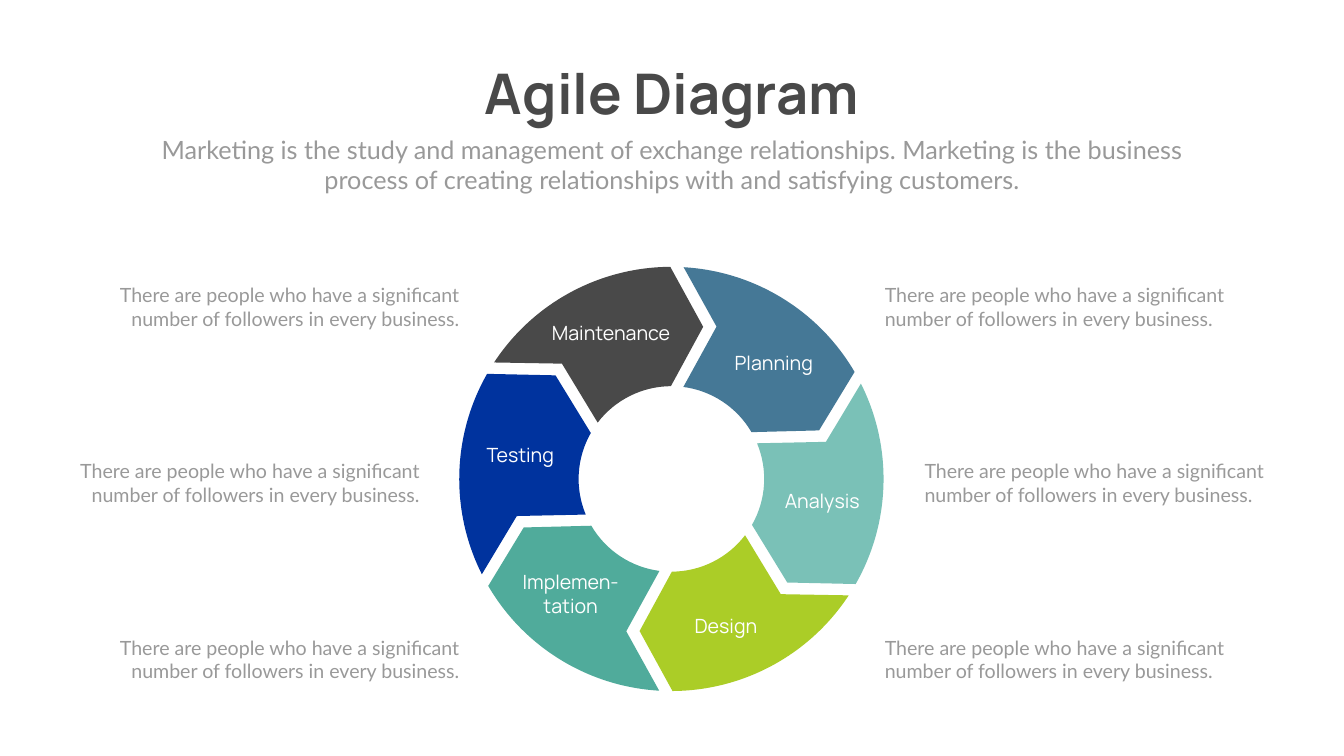
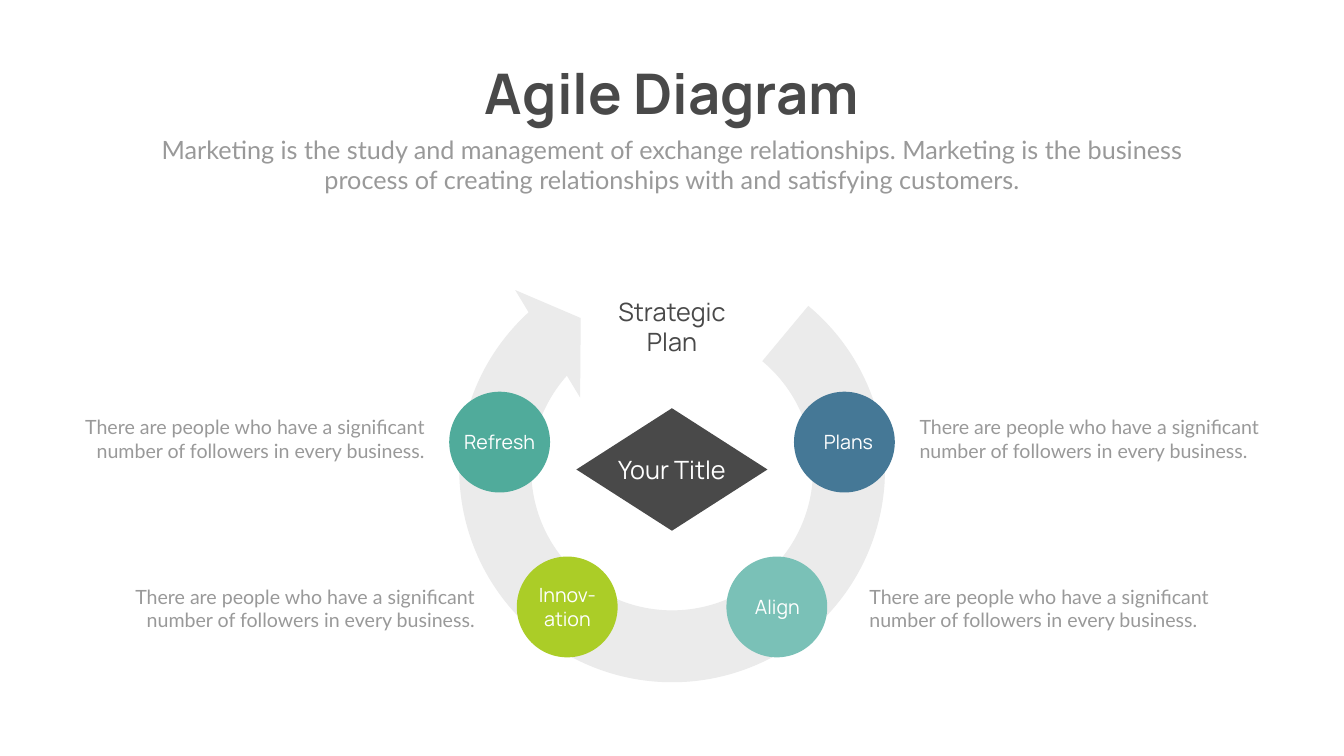
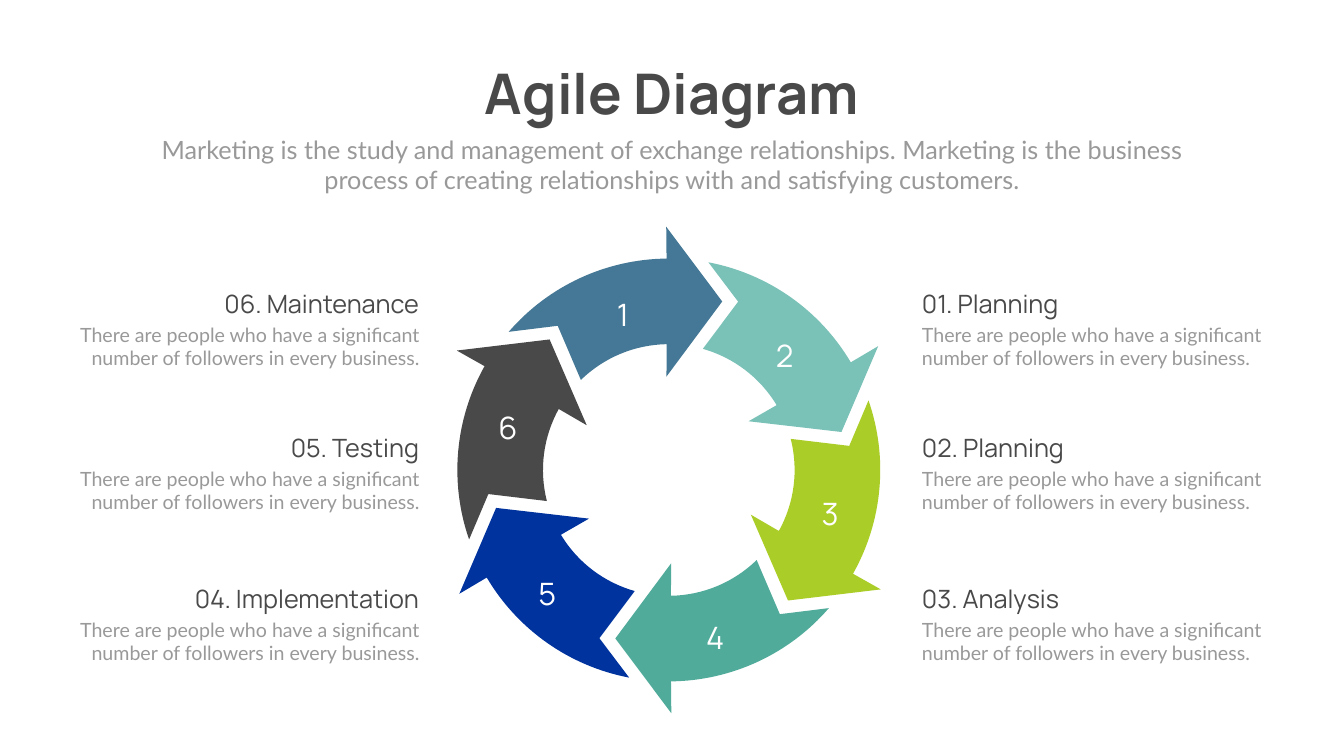
import math

import lxml.etree
import pptx
import pptx.dml.color
import pptx.enum.shapes
import pptx.enum.text
import pptx.oxml.ns
import pptx.util

Pt = pptx.util.Pt
qn = pptx.oxml.ns.qn
SHAPE = pptx.enum.shapes.MSO_SHAPE
ALIGN = pptx.enum.text.PP_ALIGN
AUTO_SIZE = pptx.enum.text.MSO_AUTO_SIZE
color = pptx.dml.color.RGBColor.from_string

# Shared colours, fonts and wording
DARK, GREY, PALE, WHITE = "494949", "999999", "EBEBEB", "FFFFFF"
BLUE, AQUA, LIME, TEAL, NAVY = "457896", "7AC1B7", "ABCD27", "50AB9B", "00339E"
HEADING, BODY = "Manrope", "Lato"
WIDTH, HEIGHT = 1919.5, 1080
CAPTION_WIDTH, CAPTION_HEIGHT = 545.8, 74.9
TITLE = "Agile Diagram"
SUBTITLE = ("Marketing is the study and management of exchange relationships. "
            "Marketing is the business process of creating relationships "
            "with and satisfying customers.")
CAPTION = "There are people who have a significant number of followers in every business."


def add_text(slide, text, left, top, width, height, size, font=HEADING,
             hex_color=WHITE, align=ALIGN.CENTER):
    box = slide.shapes.add_textbox(Pt(left), Pt(top), Pt(width), Pt(height))
    frame = box.text_frame
    frame.word_wrap = True
    frame.auto_size = AUTO_SIZE.SHAPE_TO_FIT_TEXT
    paragraph = frame.paragraphs[0]
    paragraph.alignment = align
    run = paragraph.add_run()
    run.text = text
    run.font.name = font
    run.font.size = Pt(size)
    run.font.color.rgb = color(hex_color)
    return box


def paint(shape, hex_color):
    shape.shadow.inherit = False
    shape.fill.solid()
    shape.fill.fore_color.rgb = color(hex_color)
    shape.line.fill.background()


presentation = pptx.Presentation()
presentation.slide_width = Pt(WIDTH)
presentation.slide_height = Pt(HEIGHT)

# Title and subtitle on every slide
slides = []
for _ in range(3):
    slide = presentation.slides.add_slide(presentation.slide_layouts[6])
    title = add_text(slide, TITLE, 654.5, 80.6, 611.3, 104.4, 80, hex_color=DARK)
    title.text_frame.word_wrap = False
    title.text_frame.paragraphs[0].runs[0].font.bold = True
    add_text(slide, SUBTITLE, 210.2, 187.9, 1499, 94.3, 36, BODY, GREY)
    slides.append(slide)
chevron_slide, loop_slide, arrow_slide = slides

# Rings of six equal segments: each outline lists (radius, from angle, to angle),
# with angles clockwise from the top; segments are (turn, colour)
chevron = [(132.5, 7.4, 59.7), (222, 71.8, 71.8), (303, 59.7, 3.3), (227, 16.5, 16.5)]
arrow = [(252.5, 17.6, 17.6), (347.5, -0.6, -0.6), (302, -0.6, -49.2),
         (260, -37.6, -37.6), (179.7, -44.3, -1), (133.5, -1.4, -1.4)]
rings = [
    (chevron_slide, 958.9, 684.2, chevron,
     [(0, BLUE), (60, AQUA), (300, DARK), (240, NAVY), (180, TEAL), (120, LIME)]),
    (arrow_slide, 955.2, 671.4, arrow,
     [(120, LIME), (60, AQUA), (180, TEAL), (240, NAVY), (300, DARK), (0, BLUE)]),
]
for slide, center_x, center_y, outline, segments in rings:
    for turn, segment_color in segments:
        points, curves = [], []
        for radius, start, end in outline:
            sweep = math.radians(end - start)
            # An arc is start, middle and end; its handles lie along the tangents
            angles = [start] if start == end else [start, (start + end) / 2, end]
            arc = []
            for angle in angles:
                angle = math.radians(turn + angle)
                arc.append((center_x + radius * math.sin(angle),
                            center_y - radius * math.cos(angle)))
            if sweep:
                reach = 4 / 3 * math.tan(sweep / 4)
                (x1, y1), _, (x2, y2) = arc
                curves.append((len(points) + 1, [
                    (x1 - reach * (y1 - center_y), y1 + reach * (x1 - center_x)),
                    (x2 + reach * (y2 - center_y), y2 - reach * (x2 - center_x)),
                    (x2, y2)]))
            points += arc
        corners = [(Pt(x), Pt(y)) for x, y in points]
        builder = slide.shapes.build_freeform(*corners[0], scale=1.0)
        builder.add_line_segments(corners[1:], close=True)
        segment = builder.convert_to_shape()
        paint(segment, segment_color)
        # Turn each arc's two straight steps into one curve
        steps = list(next(segment.element.iter(qn("a:path"))))
        for middle, handles in curves:
            curve = lxml.etree.Element(qn("a:cubicBezTo"))
            for x, y in handles:
                lxml.etree.SubElement(curve, qn("a:pt"), x=str(Pt(x) - segment.left),
                                      y=str(Pt(y) - segment.top))
            outline_element = steps[middle].getparent()
            outline_element.replace(steps[middle], curve)
            outline_element.remove(steps[middle + 1])

# Slide 1: segment labels
for label, left, top, width, height in [
    ("Maintenance", 741.6, 454.3, 262.1, 41),
    ("Planning", 1010.9, 498.2, 188.6, 41),
    ("Design", 942.5, 873.4, 188.6, 41),
    ("Implemen-tation", 702.7, 810.7, 224.6, 74.9),
    ("Testing", 648.7, 628.6, 188.6, 41),
    ("Analysis", 1080, 694.4, 188.6, 41),
]:
    add_text(chevron_slide, label, left, top, width, height, 28)

# Slide 2: open loop arrow
loop = loop_slide.shapes.add_shape(SHAPE.CIRCULAR_ARROW, Pt(617.6), Pt(328.3), Pt(684.7), Pt(684.7))
loop.rotation = 240
for index, value in enumerate([0.15, 8.164, 207.167, 41.858, 0.131]):
    loop.adjustments[index] = value
paint(loop, PALE)

# Slide 2: stage circles, the diamond in the middle, then all labels
for left, top, fill in [(1134, 559.6, BLUE), (1037.5, 795.1, AQUA),
                        (641.6, 559.6, TEAL), (738.1, 795.1, LIME)]:
    circle = loop_slide.shapes.add_shape(SHAPE.OVAL, Pt(left), Pt(top), Pt(144), Pt(144))
    paint(circle, fill)
add_text(loop_slide, "Strategic Plan", 861.1, 420.1, 197.3, 94.3, 36, hex_color=DARK)
diamond = loop_slide.shapes.add_shape(SHAPE.DIAMOND, Pt(823.2), Pt(583.2), Pt(272.9), Pt(175))
paint(diamond, DARK)
add_text(loop_slide, "Your Title", 861.1, 645.1, 197.3, 51.1, 36)
for label, left, top, width, height in [
    ("Plans", 1113.1, 611.3, 197.3, 41),
    ("Align", 1011.6, 846.7, 197.3, 41),
    ("Innov-ation", 748.1, 829.9, 124.6, 74.9),
    ("Refresh", 614.9, 611.3, 197.3, 41),
]:
    add_text(loop_slide, label, left, top, width, height, 28)

# Slides 1 and 2: captions mirrored about the middle of the slide
for slide, right_left, top in [
    (chevron_slide, 1256.6, 400.6),
    (chevron_slide, 1313.3, 652.4),
    (chevron_slide, 1256.6, 904.3),
    (loop_slide, 1306.2, 589.3),
    (loop_slide, 1234.6, 831.6),
]:
    for left, align in [(right_left, ALIGN.LEFT),
                        (WIDTH - right_left - CAPTION_WIDTH, ALIGN.RIGHT)]:
        add_text(slide, CAPTION, left, top, CAPTION_WIDTH, CAPTION_HEIGHT, 28, BODY, GREY, align)

# Slide 3: numbers on the arrows
number_places = [(844.6, 419.8), (1075.7, 478.1), (1140.5, 704.2),
                 (976.3, 880.6), (736.6, 817.9), (680.4, 581.8)]
for number, (left, top) in enumerate(number_places, 1):
    box = add_text(arrow_slide, str(number), left, top, 90, 51.1, 44)
    frame = box.text_frame
    frame.auto_size = AUTO_SIZE.NONE
    frame.margin_left = frame.margin_top = frame.margin_right = frame.margin_bottom = 0
    frame.paragraphs[0].line_spacing = 1.05

# Slide 3: headings with captions in two columns
for top, right_heading, left_heading in [
    (408.2, "01. Planning", "06. Maintenance"),
    (829.4, "03. Analysis", "04. Implementation"),
    (613.4, "02. Planning", "05. Testing"),
]:
    for heading, heading_left, caption_left, align in [
        (right_heading, 1309.7, 1309.7, ALIGN.LEFT),
        (left_heading, 220.3, 60.3, ALIGN.RIGHT),
    ]:
        add_text(arrow_slide, heading, heading_left, top, 385.2, 51.1, 36, HEADING, DARK, align)
        add_text(arrow_slide, CAPTION, caption_left, top + 49.5, CAPTION_WIDTH, CAPTION_HEIGHT,
                 28, BODY, GREY, align)

presentation.save("out.pptx")
